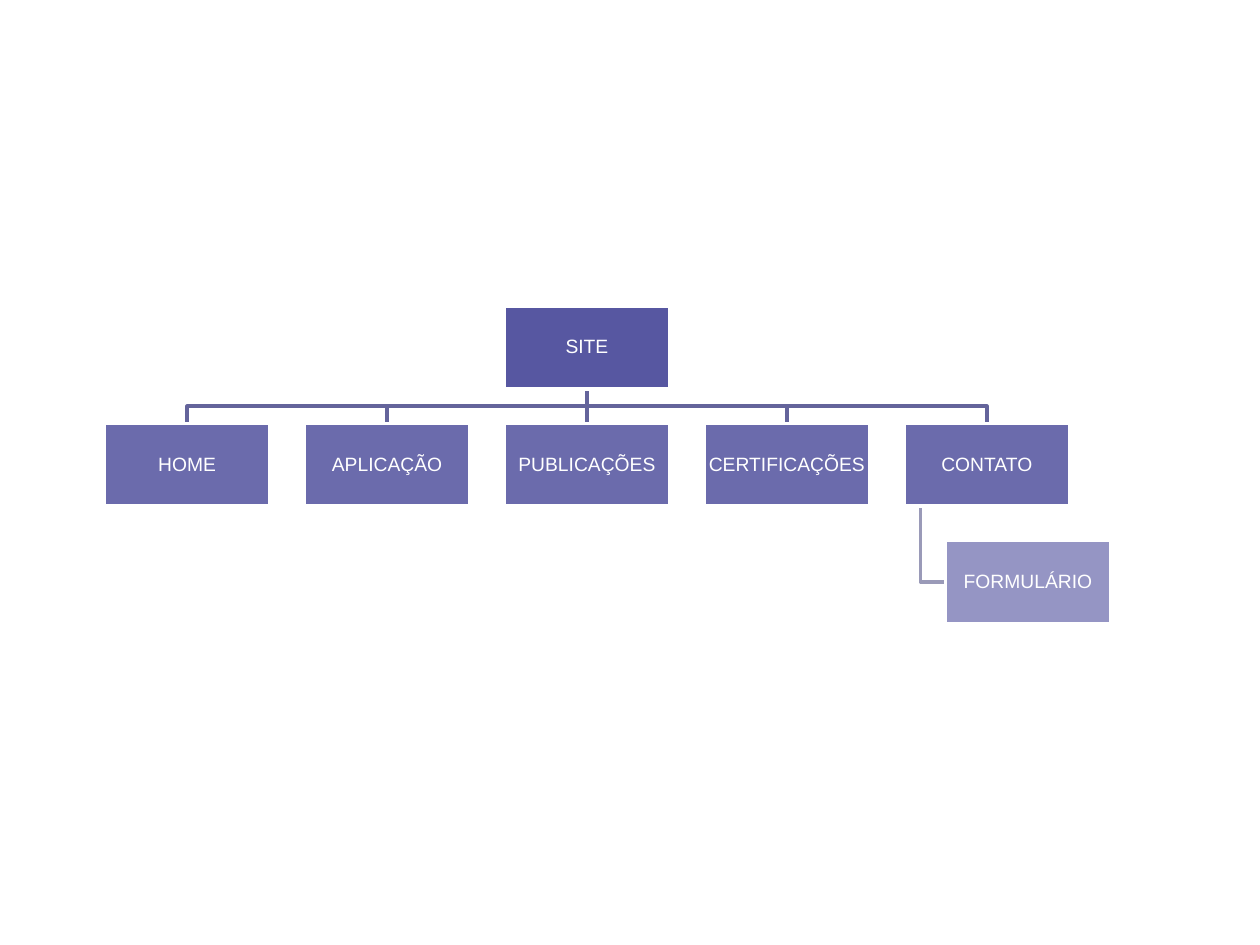
from lxml.etree import SubElement
from pptx import Presentation
from pptx.dml.color import RGBColor
from pptx.enum.shapes import MSO_CONNECTOR, MSO_SHAPE
from pptx.enum.text import MSO_ANCHOR, PP_ALIGN
from pptx.oxml.ns import qn
from pptx.util import Cm, Pt

COLORS = {"node": "2D2D8A", "white": "FFFFFF", "link": "64649B", "sublink": "9A9AB8"}
PAGES = ["HOME", "APLICAÇÃO", "PUBLICAÇÕES", "CERTIFICAÇÕES", "CONTATO"]
NODE_W, NODE_H = Cm(3.33), Cm(1.67)
INDENT, STEM = Cm(0.83), Cm(0.33)


def color(name):
    return RGBColor.from_string(COLORS[name])


def add_node(group, left, top, label, alpha):
    """Add a labelled box whose fill has the given opacity in percent."""
    node = group.shapes.add_shape(MSO_SHAPE.RECTANGLE, left, top, NODE_W, NODE_H)
    node.shadow.inherit = False
    node.fill.solid()
    node.fill.fore_color.rgb = color("node")
    tint = node.fill._xPr.find(qn("a:solidFill"))[0]
    SubElement(tint, qn("a:alpha")).set("val", str(alpha * 1000))
    node.line.color.rgb = color("white")
    node.line.width = Pt(2)

    frame = node.text_frame
    frame.word_wrap = True
    frame.vertical_anchor = MSO_ANCHOR.MIDDLE
    frame.margin_left = frame.margin_right = Cm(0.02)
    frame.margin_top = frame.margin_bottom = Cm(0.02)
    para = frame.paragraphs[0]
    para.alignment = PP_ALIGN.CENTER
    para.line_spacing = 0.9
    run = para.add_run()
    run.text = label
    run.font.name = "Arial"
    run.font.size = Pt(11)
    run.font.color.rgb = color("white")


def add_link(group, points, hue):
    """Join the points: a connector for two, an open outline for more."""
    start, *rest = points
    if len(rest) == 1:
        link = group.shapes.add_connector(MSO_CONNECTOR.STRAIGHT, *start, *rest[0])
        SubElement(link._element.spPr, qn("a:effectLst"))
    else:
        path = group.shapes.build_freeform(*start)
        path.add_line_segments(rest, close=False)
        link = path.convert_to_shape()
        link.fill.background()
        link.shadow.inherit = False
    link.line.color.rgb = color(hue)
    link.line.width = Pt(2)


def add_site_map(slide, left, top, width, height):
    group = slide.shapes.add_group_shape()
    pitch = (width - INDENT - NODE_W) // (len(PAGES) - 1)
    step = (height - NODE_H) // 2
    lefts = [left + i * pitch for i in range(len(PAGES))]
    tops = [top + i * step for i in range(3)]
    root = lefts[len(PAGES) // 2]
    hub = root + NODE_W // 2
    base = top + NODE_H
    bend = (base + tops[1]) // 2

    stem = lefts[-1] + STEM
    form = lefts[-1] + INDENT
    middle = tops[2] + NODE_H // 2
    add_link(group, [(stem, tops[1] + NODE_H), (stem, middle), (form, middle)], "sublink")
    for x in reversed(lefts):
        end = x + NODE_W // 2
        turns = [] if end == hub else [(hub, bend), (end, bend)]
        add_link(group, [(hub, base), *turns, (end, tops[1])], "link")

    add_node(group, root, tops[0], "SITE", 80)
    for x, label in zip(lefts, PAGES):
        add_node(group, x, tops[1], label, 70)
    add_node(group, form, tops[2], "FORMULÁRIO", 50)


def main():
    deck = Presentation()
    deck.slide_width, deck.slide_height = Cm(25.4), Cm(19.05)
    slide = deck.slides.add_slide(deck.slide_layouts[6])
    add_site_map(slide, Cm(2.11), Cm(6.17), Cm(20.28), Cm(6.4))
    deck.save("out.pptx")


if __name__ == "__main__":
    main()
